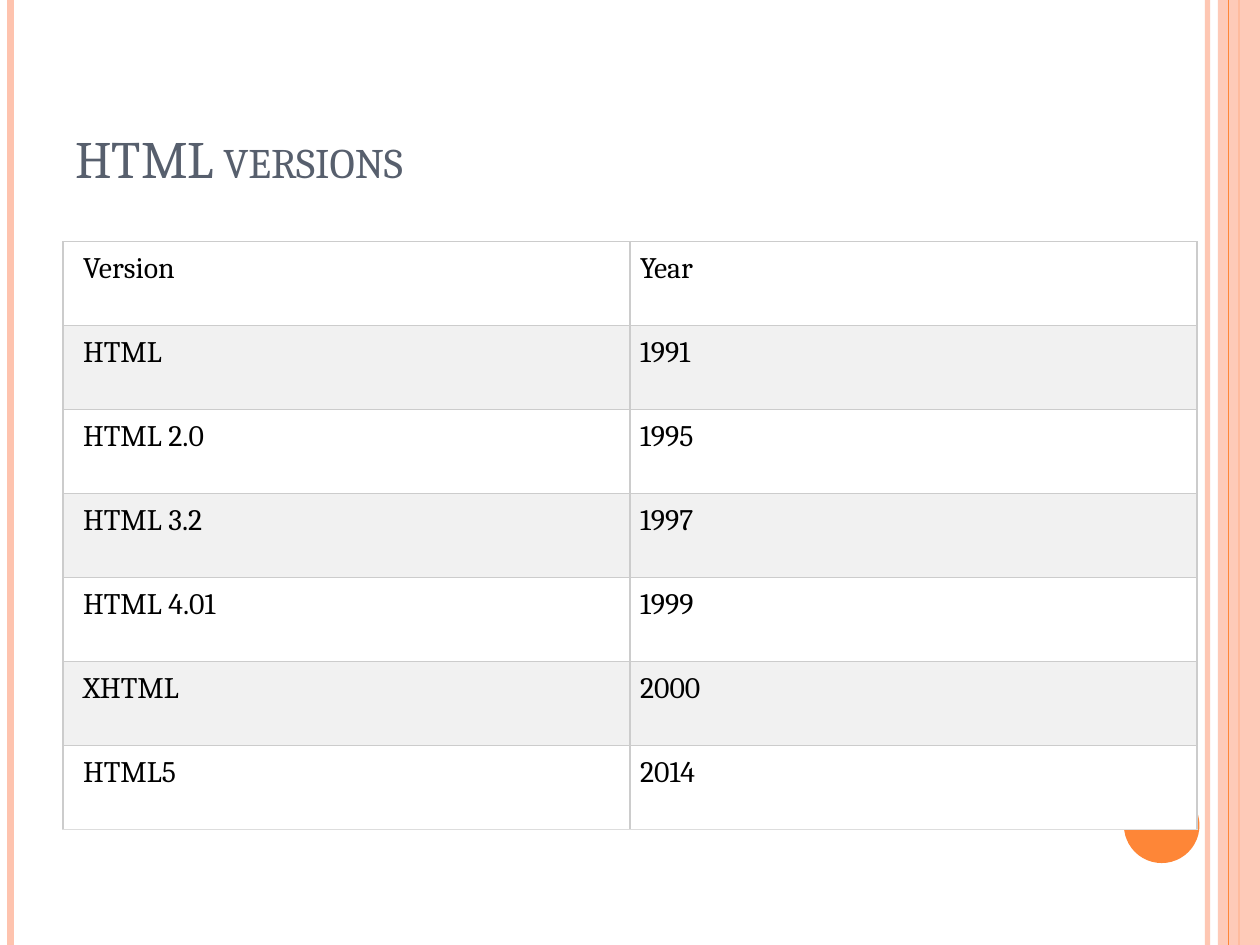
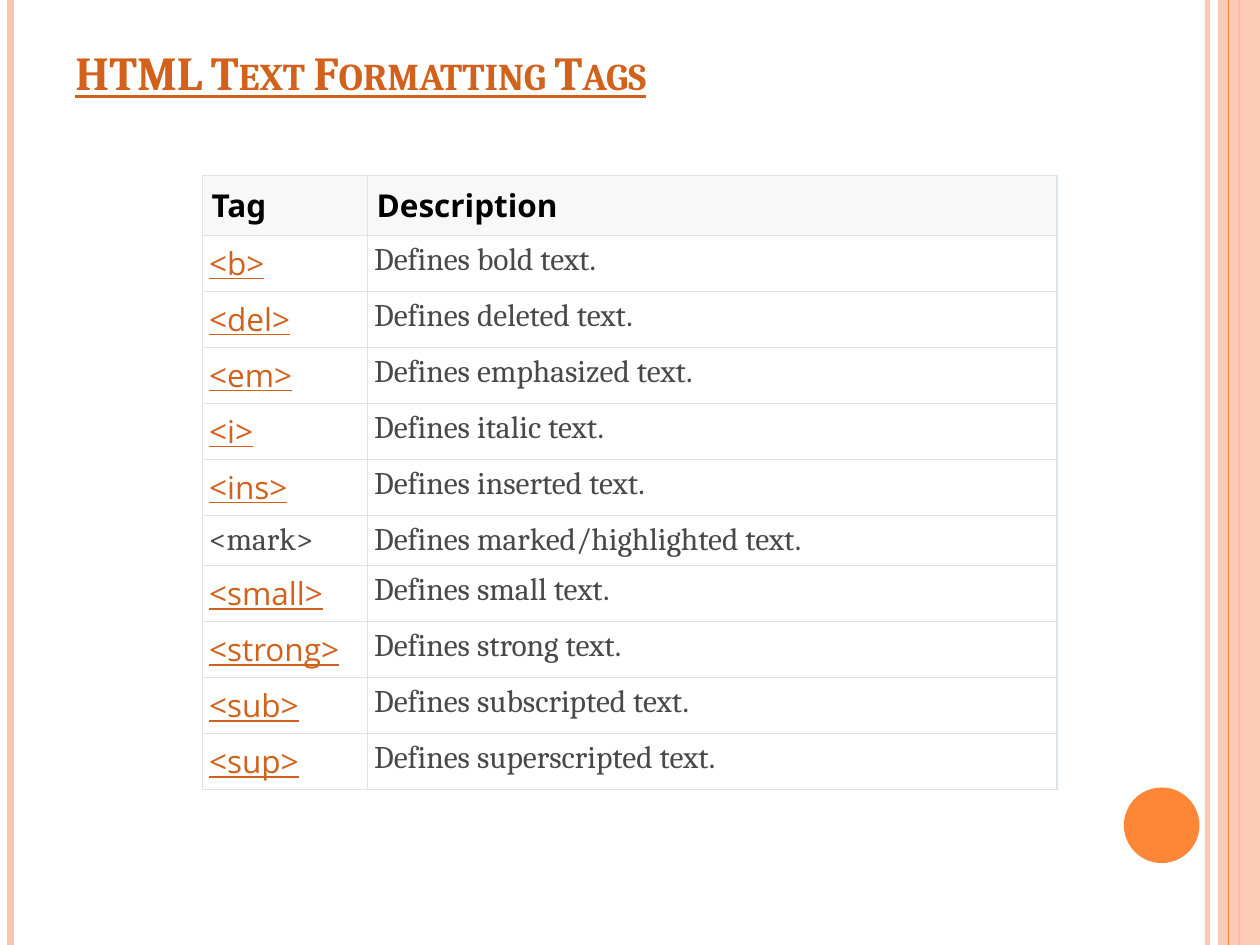
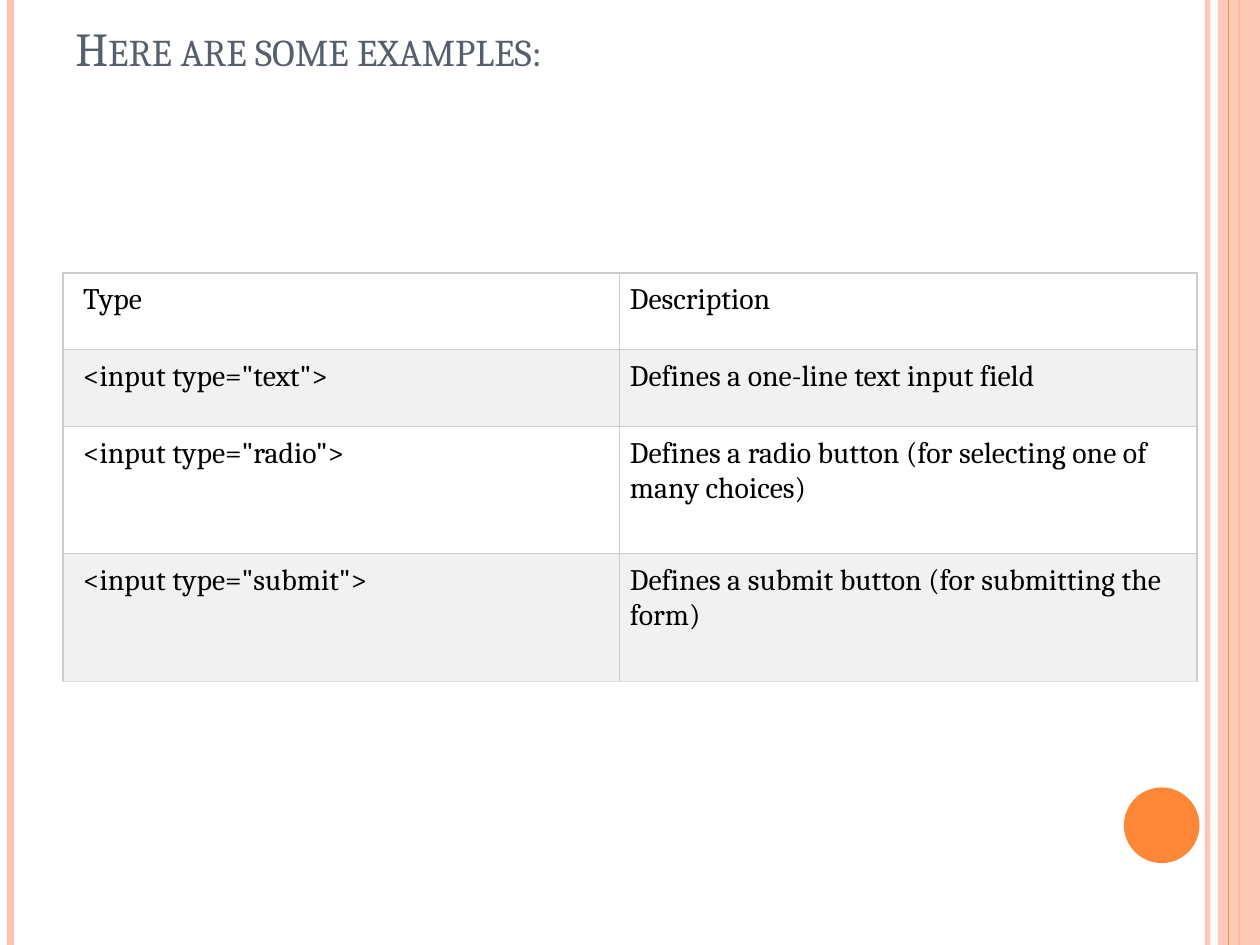
"""Build three slides of tables about HTML on a shared striped page."""
from dataclasses import dataclass

from lxml import etree
from pptx import Presentation
from pptx.dml.color import RGBColor
from pptx.enum import shapes, text
from pptx.oxml.ns import qn
from pptx.util import Inches, Pt


@dataclass(frozen=True)
class Theme:
    peach: str = "FEC3AE"
    orange: str = "FE8637"
    slate: str = "575F6D"
    rust: str = "D2611C"
    black: str = "000000"
    gray: str = "484848"
    white: str = "FFFFFF"
    band: str = "F1F1F1"
    head: str = "F8F8F8"
    grid: str = "CCCCCC"
    foot: str = "DDDDDD"
    pale: str = "DCE3EB"
    serif: str = "Cambria"
    sans: str = "Noto Sans"
    code: str = "Open Sans"
    large: int = 30
    title: int = 27
    body: int = 17
    tag: int = 18


T = Theme()
WIDE, HIGH = 10, 7.5
STEP = 1 / 12
PLAIN = "<mark>"

VERSIONS = [
    ("Version", "Year"),
    ("HTML", "1991"),
    ("HTML 2.0", "1995"),
    ("HTML 3.2", "1997"),
    ("HTML 4.01", "1999"),
    ("XHTML", "2000"),
    ("HTML5", "2014"),
]
TAGS = [
    ("Tag", "Description"),
    ("<b>", "Defines bold text."),
    ("<del>", "Defines deleted text."),
    ("<em>", "Defines emphasized text."),
    ("<i>", "Defines italic text."),
    ("<ins>", "Defines inserted text."),
    (PLAIN, "Defines marked/highlighted text."),
    ("<small>", "Defines small text."),
    ("<strong>", "Defines strong text."),
    ("<sub>", "Defines subscripted text."),
    ("<sup>", "Defines superscripted text."),
]
INPUTS = [
    ("Type", "Description"),
    ('<input type="text">', "Defines a one-line text input field"),
    ('<input type="radio">',
     "Defines a radio button (for selecting one of many choices)"),
    ('<input type="submit">',
     "Defines a submit button (for submitting the form)"),
]
TALL = [0.48] + [0.39 if tag == PLAIN else 4 / 9 for tag, _ in TAGS[1:]]


def banded(row, col, word):
    fill = T.band if row % 2 else T.white
    pads = (0.08 if col else 0.16, 0.08, 0.08, 0.08)
    return fill, pads, dict(size=T.body, face=T.serif, ink=T.black)


def tagged(row, col, word):
    if row == 0:
        return T.head, (0.07,) * 4, dict(
            size=T.tag, face=T.sans, ink=T.black, bold=True)
    if col == 0 and word != PLAIN:
        look = dict(size=T.tag, face=T.code, ink=T.rust, under=True)
    else:
        look = dict(size=T.tag, face=T.serif, ink=T.gray)
    return T.white, (0.05,) * 4, look


PAGES = [
    dict(title="HTML versions", box=(0.5, 0.3, 8.17, 1.25),
         look=dict(size=T.large, ink=T.slate),
         rows=VERSIONS, at=(0.5, 1.92), cols=(4.5, 4.5),
         tall=[8 * STEP] * 7, style=banded, edge=T.grid, last=T.foot),
    dict(title="HTML Text Formatting Tags", box=(0.5, 0.25, 8.83, 0.59),
         look=dict(size=T.title, ink=T.rust, bold=True, under=True),
         rows=TAGS, at=(1.61, 1.39), cols=(1.31, 5.47),
         tall=TALL, style=tagged, edge=T.pale, last=T.pale),
    dict(title="Here are some examples:", box=(0.5, 0.11, 8.17, 0.54),
         look=dict(size=T.title, ink=T.slate),
         rows=INPUTS, at=(0.5, 26 * STEP), cols=(4.42, 4.58),
         tall=[0.61, 0.61, 1.01, 1.01], style=banded,
         edge=T.grid, last=T.foot),
]

RULES = [(WIDE - 5 * STEP, T.peach, 3, 93), (STEP, T.peach, 4.5, 100),
         (WIDE - 2 * STEP, T.orange, 1.5, 100)]


def rgb(code):
    return RGBColor.from_string(code)


def fade(item, part):
    if part < 100:
        for tint in item._element.iter(qn("a:srgbClr")):
            etree.SubElement(tint, qn("a:alpha"), val=str(part * 1000))


def rule(slide, x, ink, width, part=100):
    line = slide.shapes.add_connector(
        shapes.MSO_CONNECTOR.STRAIGHT,
        Inches(x), 0, Inches(x), Inches(HIGH))
    line.line.color.rgb = rgb(ink)
    line.line.width = Pt(width)
    etree.SubElement(line._element.spPr, qn("a:effectLst"))
    fade(line, part)


def block(slide, kind, box, ink, part=100):
    shape = slide.shapes.add_shape(kind, *map(Inches, box))
    shape.shadow.inherit = False
    shape.fill.solid()
    shape.fill.fore_color.rgb = rgb(ink)
    shape.line.fill.background()
    fade(shape, part)


def frame(slide):
    for spec in RULES:
        rule(slide, *spec)
    kind = shapes.MSO_SHAPE
    wide = 4 * STEP
    block(slide, kind.RECTANGLE, (WIDE - wide, 0, wide, HIGH), T.peach, 87)
    rule(slide, WIDE - 3 * STEP, T.orange, 0.75)
    block(slide, kind.OVAL, (8.92, 6.25, 0.6, 0.6), T.orange)


def write(body, words, size, ink, face=T.serif, bold=False, under=False):
    body.text = words
    run = body.paragraphs[0].runs[0]
    font = run.font
    font.size, font.name = Pt(size), face
    font.bold, font.underline = bold, under
    font.color.rgb = rgb(ink)
    return run


def title(slide, words, box, look):
    body = slide.shapes.add_textbox(*map(Inches, box)).text_frame
    body.word_wrap = True
    body.vertical_anchor = text.MSO_ANCHOR.BOTTOM
    run = write(body, words, **look)
    run._r.get_or_add_rPr().set("cap", "small")


def border(cell, edge, low):
    props = cell._tc.get_or_add_tcPr()
    for spot, side in enumerate("LRTB"):
        line = etree.Element(qn("a:ln" + side), w=str(Pt(0.75)))
        fill = etree.SubElement(line, qn("a:solidFill"))
        ink = low if side == "B" else edge
        etree.SubElement(fill, qn("a:srgbClr"), val=ink)
        props.insert(spot, line)


def grid(slide, rows, at, cols, tall, style, edge, last):
    size = (*at, sum(cols), sum(tall))
    table = slide.shapes.add_table(
        len(rows), len(cols), *map(Inches, size)).table
    table.first_row = table.horz_banding = False
    for col, width in zip(table.columns, cols):
        col.width = Inches(width)
    for r, (words, high) in enumerate(zip(rows, tall)):
        table.rows[r].height = Inches(high)
        low = last if r == len(rows) - 1 else edge
        for c, word in enumerate(words):
            cell = table.cell(r, c)
            fill, pads, look = style(r, c, word)
            (cell.margin_left, cell.margin_top, cell.margin_right,
             cell.margin_bottom) = map(Inches, pads)
            cell.fill.solid()
            cell.fill.fore_color.rgb = rgb(fill)
            border(cell, edge, low)
            write(cell.text_frame, word, **look)


def main():
    deck = Presentation()
    deck.slide_width, deck.slide_height = Inches(WIDE), Inches(HIGH)
    for page in PAGES:
        slide = deck.slides.add_slide(deck.slide_layouts[6])
        frame(slide)
        title(slide, page["title"], page["box"], page["look"])
        keys = ("rows", "at", "cols", "tall", "style", "edge", "last")
        grid(slide, *(page[key] for key in keys))
    deck.save("out.pptx")


if __name__ == "__main__":
    main()
